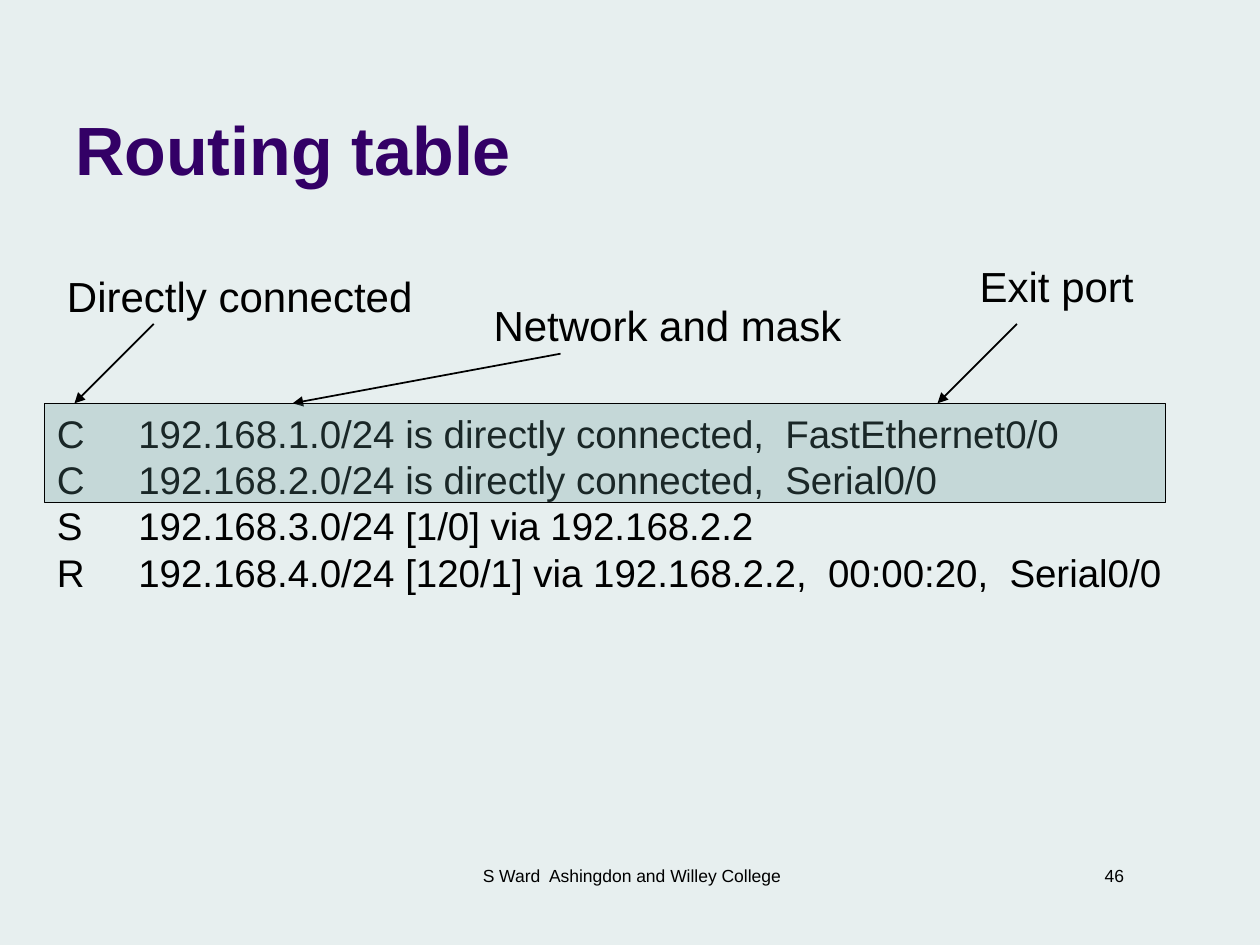
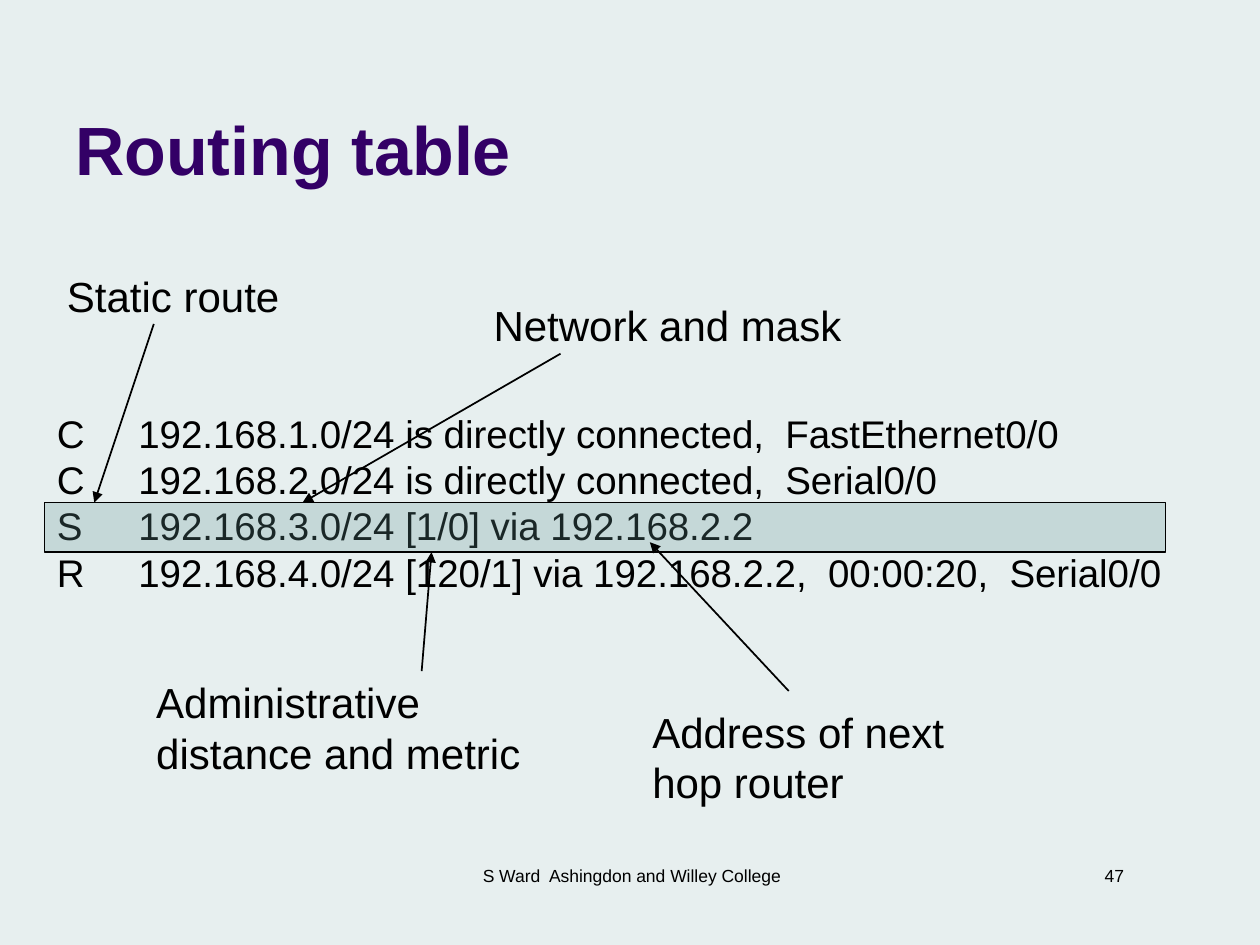
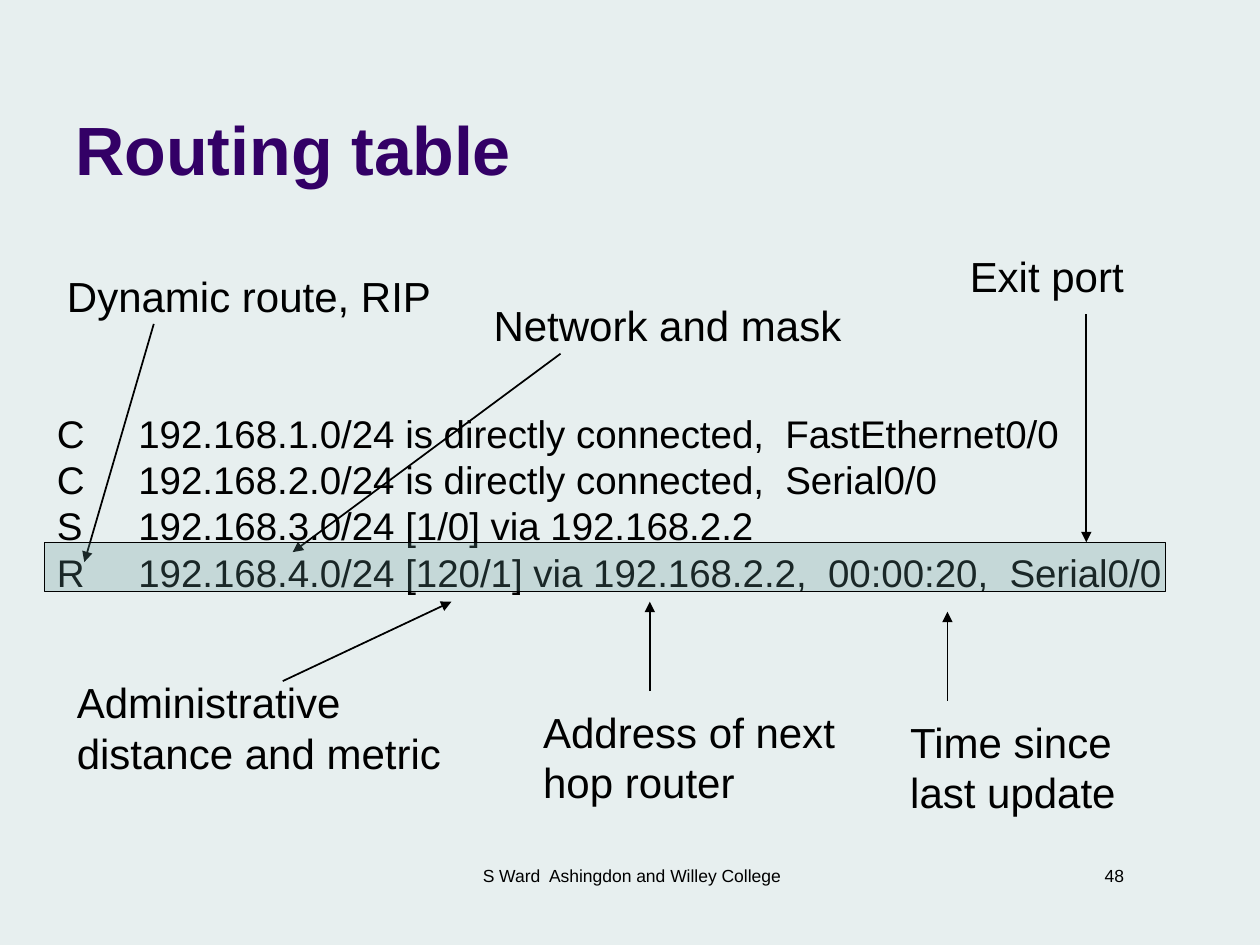
from dataclasses import dataclass

from lxml.etree import SubElement
from pptx import Presentation
from pptx.dml.color import RGBColor
from pptx.enum.shapes import MSO_CONNECTOR, MSO_SHAPE
from pptx.enum.text import MSO_ANCHOR, PP_ALIGN
from pptx.oxml.ns import qn
from pptx.util import Cm, Pt

BACKGROUND = RGBColor(0xE7, 0xEF, 0xEF)
TITLE_COLOR = RGBColor(0x33, 0x00, 0x66)
TEXT_COLOR = RGBColor(0x00, 0x00, 0x00)
HIGHLIGHT_COLOR = RGBColor(0x66, 0x99, 0x99)
HIGHLIGHT_OPACITY = 26
FONT = "Arial"

# Boxes are left, top, width, height in cm
TITLE_BOX = (1.27, 0.33, 20.96, 3.61)
FOOTER_BOX = (8.71, 17.32, 8.05, 1.27)
NUMBER_BOX = (17.7, 17.32, 5.21, 0.69)
TABLE_BOX = (0.9, 8.13, 23.8, 3.99)
HIGHLIGHT_WIDTH = 22.6
ROUTE_TAB = 1.64

TITLE = "Routing table"
FOOTER = "S Ward  Ashingdon and Willey College"
FIRST_NUMBER = 46
ROUTES = [
    "C\t192.168.1.0/24 is directly connected,  FastEthernet0/0",
    "C\t192.168.2.0/24 is directly connected,  Serial0/0",
    "S\t192.168.3.0/24 [1/0] via 192.168.2.2",
    "R\t192.168.4.0/24 [120/1] via 192.168.2.2,  00:00:20,  Serial0/0",
]


@dataclass
class Callout:
    """A label and its arrow, in cm from the top left of the routing table."""
    text: str
    label: tuple
    start: tuple
    end: tuple
    width: float = 8.0
    lines: int = 1


def source_callout(text, end):
    return Callout(text, (0.2, -2.8), (2.2, -1.6), end)


def network_callout(end):
    return Callout("Network and mask", (8.8, -2.2), (10.4, -1.0), end)


def metric_callout(label, start, end):
    return Callout("Administrative distance and metric", label, start, end, lines=2)


def next_hop_callout(label, start, end):
    return Callout("Address of next hop router", label, start, end, lines=2)


# Each slide: highlight (top, height), callouts above the rows, callouts below
SLIDES = [
    ((0, 2.0),
     [source_callout("Directly connected", (0.6, 0)),
      network_callout((5.0, 0)),
      Callout("Exit port", (18.6, -3.0), (19.6, -1.6), (18.0, 0), 4.2)],
     []),
    ((2.0, 1.0),
     [source_callout("Static route", (1.0, 2.0)),
      network_callout((5.2, 2.0))],
     [metric_callout((2.0, 5.4), (7.6, 5.4), (7.8, 3.0)),
      next_hop_callout((12.0, 6.0), (15.0, 5.8), (12.2, 2.8))]),
    ((2.8, 1.0),
     [source_callout("Dynamic route, RIP", (0.8, 3.2)),
      network_callout((5.0, 3.0)),
      Callout("Exit port", (18.4, -3.2), (21.0, -1.8), (21.0, 2.8), 5.0)],
     [metric_callout((0.4, 5.4), (4.8, 5.6), (8.2, 4.0)),
      next_hop_callout((9.8, 6.0), (12.2, 5.8), (12.2, 4.0)),
      Callout("Time since last update", (17.2, 6.2), (18.2, 6.0), (18.2, 4.2), 5.0, 2)]),
]


def add_text(slide, box, text, size, color=TEXT_COLOR, bold=False,
             align=PP_ALIGN.LEFT, anchor=MSO_ANCHOR.TOP, line_pitch=None):
    shape = slide.shapes.add_textbox(*map(Cm, box))
    frame = shape.text_frame
    frame.word_wrap = True
    frame.vertical_anchor = anchor
    frame.text = text
    for paragraph in frame.paragraphs:
        paragraph.alignment = align
        if line_pitch:
            paragraph.line_spacing = Pt(line_pitch)
        font = paragraph.font
        font.name, font.size, font.bold = FONT, Pt(size), bold
        font.color.rgb = color
    return shape


def add_frame(slide, number):
    """Title, footer and slide number."""
    add_text(slide, TITLE_BOX, TITLE, 39, TITLE_COLOR, bold=True, anchor=MSO_ANCHOR.BOTTOM)
    add_text(slide, FOOTER_BOX, FOOTER, 10, align=PP_ALIGN.CENTER)
    add_text(slide, NUMBER_BOX, str(number), 10, align=PP_ALIGN.RIGHT)


def add_routes(slide, box):
    shape = add_text(slide, box, "\n".join(ROUTES), 22, line_pitch=26.5)
    for paragraph in shape.text_frame.paragraphs:
        # Tab stop that lines up the addresses
        tabs = SubElement(paragraph._p.get_or_add_pPr(), qn("a:tabLst"))
        SubElement(tabs, qn("a:tab"), pos=str(Cm(ROUTE_TAB)), algn="l")


def add_highlight(slide, box, top, height):
    left, table_top = box[:2]
    shape = slide.shapes.add_shape(
        MSO_SHAPE.RECTANGLE, Cm(left), Cm(table_top + top), Cm(HIGHLIGHT_WIDTH), Cm(height))
    shape.shadow.inherit = False
    shape.fill.solid()
    shape.fill.fore_color.rgb = HIGHLIGHT_COLOR
    shape.line.color.rgb = TEXT_COLOR
    shape.line.width = Pt(0.75)
    # Let the rows show through
    color = shape._element.spPr.find(qn("a:solidFill"))[0]
    SubElement(color, qn("a:alpha"), val=str(HIGHLIGHT_OPACITY * 1000))


def add_callout(slide, box, callout):
    def place(point):
        return box[0] + point[0], box[1] + point[1]

    height = 0.25 + 1.02 * callout.lines
    add_text(slide, (*place(callout.label), callout.width, height),
             callout.text, 24, line_pitch=28.6)

    ends = place(callout.start) + place(callout.end)
    arrow = slide.shapes.add_connector(MSO_CONNECTOR.STRAIGHT, *map(Cm, ends))
    arrow.line.color.rgb = TEXT_COLOR
    arrow.line.width = Pt(1)
    SubElement(arrow.line._get_or_add_ln(), qn("a:tailEnd"), type="triangle", w="med", len="med")
    SubElement(arrow._element.spPr, qn("a:effectLst"))


def add_routing_slide(presentation, number, highlight, above, below):
    slide = presentation.slides.add_slide(presentation.slide_layouts[6])
    add_frame(slide, number)
    add_routes(slide, TABLE_BOX)
    for callout in above:
        add_callout(slide, TABLE_BOX, callout)
    add_highlight(slide, TABLE_BOX, *highlight)
    for callout in below:
        add_callout(slide, TABLE_BOX, callout)


def main():
    presentation = Presentation()
    presentation.slide_width, presentation.slide_height = Cm(25.4), Cm(19.05)
    background = presentation.slide_master.background.fill
    background.solid()
    background.fore_color.rgb = BACKGROUND
    for number, content in enumerate(SLIDES, FIRST_NUMBER):
        add_routing_slide(presentation, number, *content)
    presentation.save("out.pptx")


if __name__ == "__main__":
    main()
